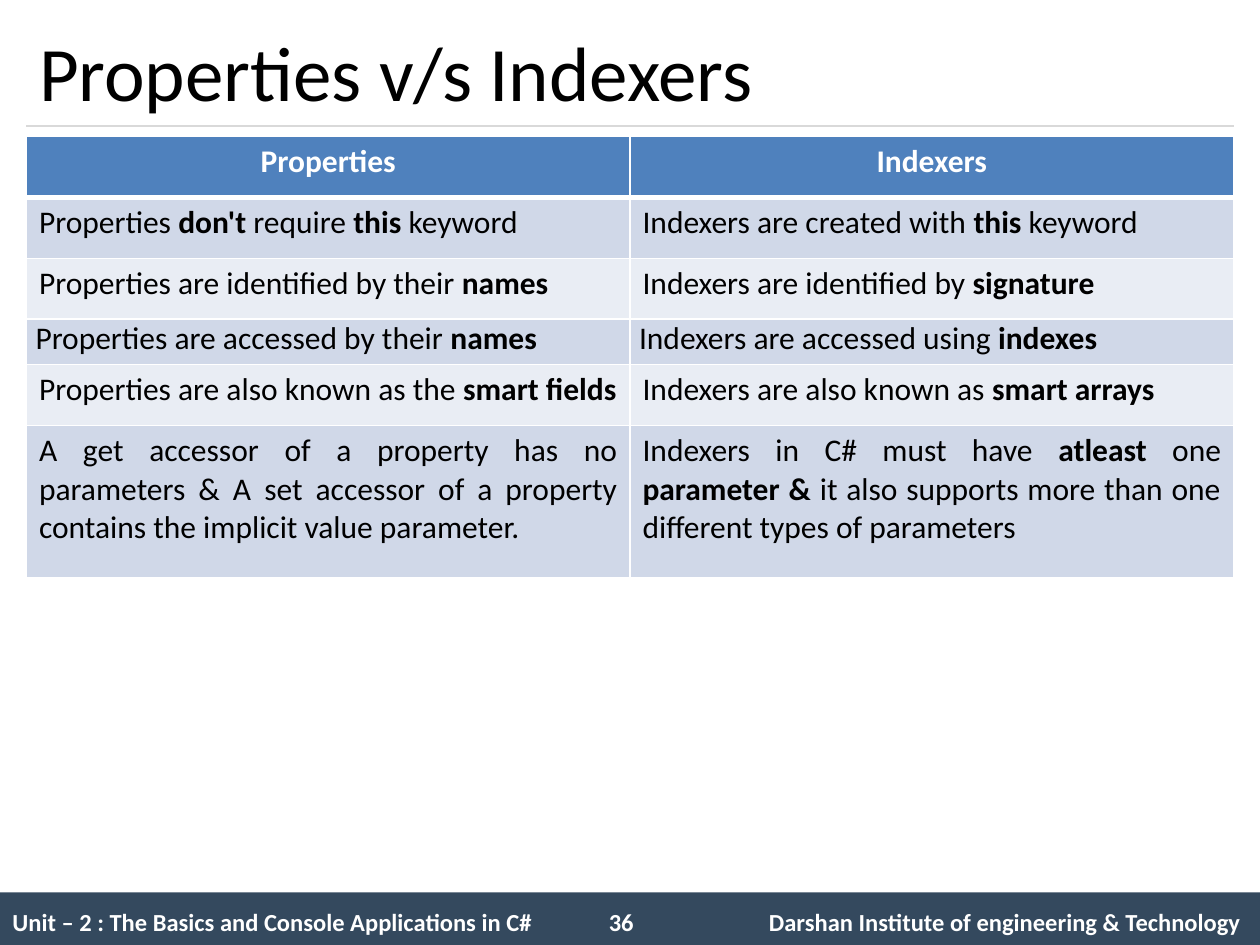
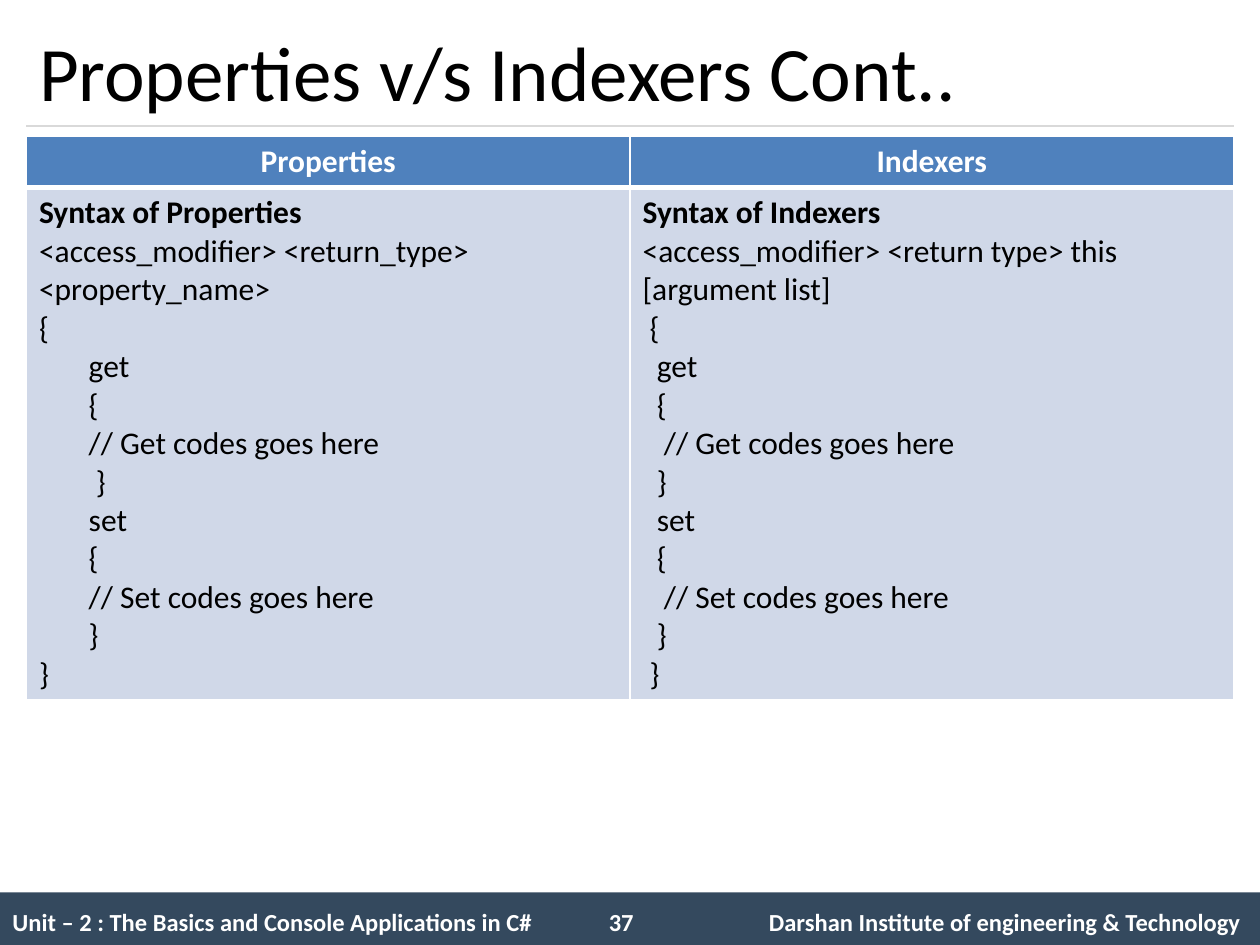
import pptx
import pptx.dml.color
import pptx.enum.shapes
import pptx.enum.text
import pptx.oxml
import pptx.oxml.ns
import pptx.util
from lxml import etree

Pt = pptx.util.Pt
ALIGN = pptx.enum.text.PP_ALIGN
MIDDLE = pptx.enum.text.MSO_ANCHOR.MIDDLE

FONT = "Calibri"
COLORS = {
    "band": "34495E", "rule": "D9D9D9", "header": "4F81BD",
    "odd": "D0D8E8", "even": "E9EDF4", "text": "000000", "white": "FFFFFF",
}
UNIT = "Unit – 2 : The Basics and Console Applications in C#"
INSTITUTE = "Darshan Institute of engineering & Technology"
HEADERS = ("Properties", "Indexers")

# Double asterisks enclose bold words.
COMPARISON = [
    ("Properties **don't** require **this** keyword",
     "Indexers are created with **this** keyword"),
    ("Properties are identified by their **names**",
     "Indexers are identified by **signature**"),
    ("Properties are accessed by their **names**",
     "Indexers are accessed using **indexes**"),
    ("Properties are also known as the **smart fields**",
     "Indexers are also known as **smart arrays**"),
    ("A get accessor of a property has no parameters & A set accessor of a "
     "property contains the implicit value parameter.",
     "Indexers in C# must have **atleast** one **parameter & **it also supports "
     "more than one different types of parameters"),
]
PROPERTY_SYNTAX = """**Syntax of Properties**
<access_modifier> <return_type> <property_name>
{
       get
       {
       // Get codes goes here
        }
       set
       {
       // Set codes goes here
       }
}"""
INDEXER_SYNTAX = """**Syntax of Indexers**
<access_modifier> <return type> this [argument list]
 {
  get
  {
   // Get codes goes here
  }
  set
  {
   // Set codes goes here
  }
 }"""
SLIDES = [
    {"title": "Properties v/s Indexers", "number": 36, "rows": COMPARISON,
     "heights": (34.8, 34.8, 34.8, 25.9, 34.8, 87), "align": ALIGN.JUSTIFY,
     "tight_row": 3},
    {"title": "Properties v/s Indexers Cont..", "number": 37,
     "rows": [(PROPERTY_SYNTAX, INDEXER_SYNTAX)],
     "heights": (29.2, 292), "align": ALIGN.LEFT, "tight_row": None},
]

SLIDE_WIDTH, SLIDE_HEIGHT = 720, 540
LEFT, WIDTH = 15.1, 689.8
RULE_TOP, TABLE_TOP, BAND_TOP = 72, 78, 510
NUMBER_TAB, INSTITUTE_TAB = 340.8, 702


def rgb(name):
    return pptx.dml.color.RGBColor.from_string(COLORS[name])


def add_run(paragraph, text, size, color, bold=False):
    run = paragraph.add_run()
    run.text = text
    run.font.name = FONT
    run.font.size = Pt(size)
    run.font.bold = bold
    run.font.color.rgb = rgb(color)


def add_title(slide, text):
    title = slide.shapes.title
    title.left, title.top, title.width, title.height = map(Pt, (LEFT, 8.6, WIDTH, 63.4))
    title.text_frame.vertical_anchor = MIDDLE
    paragraph = title.text_frame.paragraphs[0]
    paragraph.alignment = ALIGN.LEFT
    add_run(paragraph, text, 44, "text")


def add_rule(slide):
    rule = slide.shapes.add_connector(
        pptx.enum.shapes.MSO_CONNECTOR.STRAIGHT,
        Pt(LEFT), Pt(RULE_TOP), Pt(LEFT + WIDTH), Pt(RULE_TOP))
    rule.line.color.rgb = rgb("rule")
    rule.line.width = Pt(0.75)
    properties = rule._element.spPr
    etree.SubElement(properties, pptx.oxml.ns.qn("a:effectLst"))


def add_footer(slide, number):
    band = slide.shapes.add_shape(
        pptx.enum.shapes.MSO_SHAPE.RECTANGLE,
        0, Pt(BAND_TOP), Pt(SLIDE_WIDTH), Pt(SLIDE_HEIGHT - BAND_TOP))
    band.shadow.inherit = False
    band.fill.solid()
    band.fill.fore_color.rgb = rgb("band")
    band.line.fill.background()
    band.text_frame.word_wrap = True
    band.text_frame.vertical_anchor = MIDDLE
    paragraph = band.text_frame.paragraphs[0]
    paragraph.alignment = ALIGN.LEFT
    tabs = etree.SubElement(paragraph._p.get_or_add_pPr(), pptx.oxml.ns.qn("a:tabLst"))
    for position, side in ((NUMBER_TAB, "l"), (INSTITUTE_TAB, "r")):
        etree.SubElement(tabs, pptx.oxml.ns.qn("a:tab"),
                         pos=str(int(Pt(position))), algn=side)
    add_run(paragraph, f"{UNIT}\t{number}", 14, "white", True)
    add_run(paragraph, "\t", 18, "white")
    add_run(paragraph, INSTITUTE, 14, "white", True)


def set_borders(cell, widths):
    """Draw white borders; widths maps the sides L, R, T and B to points."""
    properties = cell._tc.get_or_add_tcPr()
    for side, width in widths.items():
        line = etree.SubElement(properties, pptx.oxml.ns.qn(f"a:ln{side}"),
                                w=str(int(Pt(width))))
        fill = etree.SubElement(line, pptx.oxml.ns.qn("a:solidFill"))
        etree.SubElement(fill, pptx.oxml.ns.qn("a:srgbClr"), val=COLORS["white"])


def write_cell(cell, text, alignment, color):
    frame = cell.text_frame
    for index, line in enumerate(text.split("\n")):
        paragraph = frame.add_paragraph() if index else frame.paragraphs[0]
        paragraph.alignment = alignment
        for part, words in enumerate(line.split("**")):
            if words:
                add_run(paragraph, words, 18, color, part % 2 == 1)


def add_comparison_table(slide, content):
    rows = [tuple(f"**{header}**" for header in HEADERS)] + content["rows"]
    heights = content["heights"]
    table = slide.shapes.add_table(
        len(rows), len(HEADERS), Pt(LEFT), Pt(TABLE_TOP),
        Pt(WIDTH), Pt(sum(heights))).table
    for column in table.columns:
        column.width = Pt(WIDTH / len(HEADERS))
    for row_index, texts in enumerate(rows):
        table.rows[row_index].height = Pt(heights[row_index])
        is_header = row_index == 0
        fill = "header" if is_header else ("even", "odd")[row_index % 2]
        widths = {"L": 1, "R": 1, "T": 3 if row_index == 1 else 1,
                  "B": 3 if is_header else 1}
        for column_index, text in enumerate(texts):
            cell = table.cell(row_index, column_index)
            set_borders(cell, widths)
            cell.fill.solid()
            cell.fill.fore_color.rgb = rgb(fill)
            if row_index == content["tight_row"]:
                cell.margin_left = cell.margin_right = Pt(5.2)
                cell.margin_top = cell.margin_bottom = 0
            write_cell(cell, text,
                       ALIGN.CENTER if is_header else content["align"],
                       "white" if is_header else "text")


def main():
    presentation = pptx.Presentation()
    presentation.slide_width = Pt(SLIDE_WIDTH)
    presentation.slide_height = Pt(SLIDE_HEIGHT)
    title_only = presentation.slide_layouts[5]
    for content in SLIDES:
        slide = presentation.slides.add_slide(title_only)
        add_footer(slide, content["number"])
        add_rule(slide)
        add_title(slide, content["title"])
        add_comparison_table(slide, content)
    presentation.save("out.pptx")


if __name__ == "__main__":
    main()
